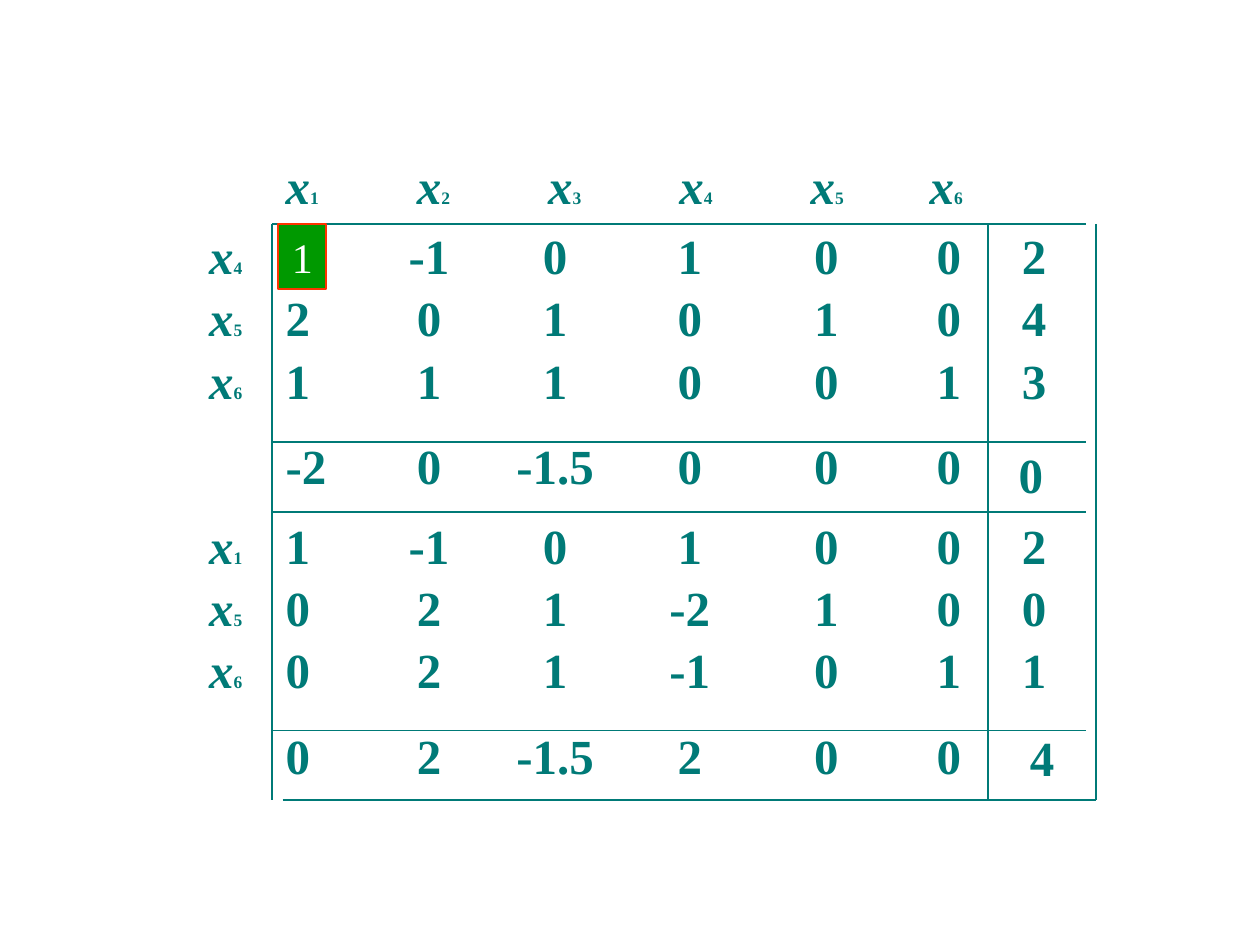
from lxml import etree
from pptx import Presentation
from pptx.dml.color import RGBColor
from pptx.enum.shapes import MSO_CONNECTOR, MSO_SHAPE
from pptx.enum.text import MSO_ANCHOR, PP_ALIGN
from pptx.oxml.ns import qn
from pptx.util import Pt

STRAIGHT = MSO_CONNECTOR.STRAIGHT
RECTANGLE = MSO_SHAPE.RECTANGLE
LEFT, CENTER = PP_ALIGN.LEFT, PP_ALIGN.CENTER
MIDDLE = MSO_ANCHOR.MIDDLE

COLORS = {"teal": "007A77", "white": "FFFFFF", "green": "009900", "red": "FF3300"}
FONT = "Times New Roman"
BLANK_LAYOUT = 6
TABLE_LEFT = 54
COLUMN_WIDTHS = [48, 54, 408, 54, 48]
LABELS, NUMBERS, RESULTS = 1, 2, 3

# Tab stops inside the wide number column
HEADER_STOPS = [75, 150, 225, 300, 368]
NUMBER_STOPS = [82, 154, 231, 309, 379]

FIRST_ROWS = [["", "-1", "0", "1", "0", "0"],
              ["2", "0", "1", "0", "1", "0"],
              ["1", "1", "1", "0", "0", "1"]]
FIRST_COSTS = ["-2", "0", "-1.5", "0", "0", "0"]
SECOND_ROWS = [["1", "-1", "0", "1", "0", "0"],
               ["0", "2", "1", "-2", "1", "0"],
               ["0", "2", "1", "-1", "0", "1"]]
SECOND_COSTS = ["0", "2", "-1.5", "2", "0", "0"]


def rgb(name):
    return RGBColor.from_string(COLORS[name])


def add_span(para, text, size=28, color="teal", bold=True, italic=False):
    span = para.add_run()
    span.text = text
    font = span.font
    font.name, font.size, font.bold, font.italic = FONT, Pt(size), bold, italic
    font.color.rgb = rgb(color)


def add_variable(para, index):
    """Add an italic x with a small upright index."""
    add_span(para, "x", italic=True)
    add_span(para, index, size=10)


def set_tab_stops(para, stops, align):
    tabs = etree.SubElement(para._p.get_or_add_pPr(), qn("a:tabLst"))
    for stop in stops:
        etree.SubElement(tabs, qn("a:tab"), pos=str(Pt(stop)), algn=align)


def cell_paragraphs(cell, count, align=LEFT):
    frame = cell.text_frame
    paras = [frame.paragraphs[0]]
    paras += [frame.add_paragraph() for _ in range(count - 1)]
    for number, para in enumerate(paras):
        para.alignment = align
        para.space_before = Pt(4.5 if number else 0)
    return paras


def fill_header(cell):
    para = cell_paragraphs(cell, 1)[0]
    set_tab_stops(para, HEADER_STOPS, "l")
    for index in "123456":
        if index != "1":
            add_span(para, "\t")
        add_variable(para, index)


def fill_labels(cell, indices):
    for para, index in zip(cell_paragraphs(cell, len(indices), CENTER), indices):
        add_variable(para, index)


def fill_numbers(cell, rows):
    for para, row in zip(cell_paragraphs(cell, len(rows)), rows):
        set_tab_stops(para, NUMBER_STOPS, "ctr")
        add_span(para, "\t".join(row))


def fill_results(cell, values):
    for para, value in zip(cell_paragraphs(cell, len(values), CENTER), values):
        add_span(para, value)


def add_grid(page, top, heights):
    frame = page.shapes.add_table(len(heights), len(COLUMN_WIDTHS), Pt(TABLE_LEFT), Pt(top),
                                  Pt(sum(COLUMN_WIDTHS)), Pt(sum(heights)))
    table = frame.table
    table.first_row = table.horz_banding = False
    for column, width in zip(table.columns, COLUMN_WIDTHS):
        column.width = Pt(width)
    for row, height in zip(table.rows, heights):
        row.height = Pt(height)
        for cell in row.cells:
            cell.fill.background()
    return table


def fill_tableau(table, body, basis, rows, results, costs):
    """Fill the body row and the cost row below it."""
    fill_labels(table.cell(body, LABELS), basis)
    fill_numbers(table.cell(body, NUMBERS), rows)
    fill_results(table.cell(body, RESULTS), results)
    fill_numbers(table.cell(body + 1, NUMBERS), [costs])
    for first in (0, RESULTS):
        table.cell(body + 1, first).merge(table.cell(body + 1, first + 1))


def add_box(page, left, top, width, height, text, fill="white", line=None,
            size=28, color="teal", bold=True):
    box = page.shapes.add_shape(RECTANGLE, Pt(left), Pt(top), Pt(width), Pt(height))
    box.shadow.inherit = False
    box.fill.solid()
    box.fill.fore_color.rgb = rgb(fill)
    if line:
        box.line.color.rgb = rgb(line)
        box.line.width = Pt(1)
    else:
        box.line.fill.background()
    frame = box.text_frame
    frame.word_wrap = False
    frame.vertical_anchor = MIDDLE
    para = frame.paragraphs[0]
    para.alignment = CENTER
    add_span(para, text, size, color, bold)


def add_rule(page, x1, y1, x2, y2):
    rule = page.shapes.add_connector(STRAIGHT, Pt(x1), Pt(y1), Pt(x2), Pt(y2))
    rule.line.color.rgb = rgb("teal")
    rule.line.width = Pt(1)
    etree.SubElement(rule._element.spPr, qn("a:effectLst"))


def add_rules(page):
    left, divider, right = 155.5, 564.5, 626.5
    top, bottom = 128, 457
    for y in (top, 252.75, 292.5, 417.5):
        add_rule(page, left, y, 620.5, y)
    add_rule(page, 161.5, bottom, right, bottom)
    for x in (left, divider, right):
        add_rule(page, x, top, x, bottom)


def main():
    deck = Presentation()
    deck.slide_width, deck.slide_height = Pt(720), Pt(540)
    page = deck.slides.add_slide(deck.slide_layouts[BLANK_LAYOUT])

    first = add_grid(page, 48, [40.5, 40, 120, 43.5])
    first.cell(0, 0).merge(first.cell(0, 1))
    for column in (3, 4):
        first.cell(0, column).merge(first.cell(1, column))
    fill_header(first.cell(1, NUMBERS))
    fill_tableau(first, 2, "456", FIRST_ROWS, "243", FIRST_COSTS)

    second = add_grid(page, 294, [120, 45])
    fill_tableau(second, 0, "156", SECOND_ROWS, "201", SECOND_COSTS)

    add_box(page, 581, 412, 29, 41, "4")
    add_box(page, 574.5, 250.5, 29, 41, "0")
    add_rules(page)
    add_box(page, 159, 128, 27.5, 37, "1", fill="green", line="red",
            size=24, color="white", bold=False)
    deck.save("out.pptx")


if __name__ == "__main__":
    main()
